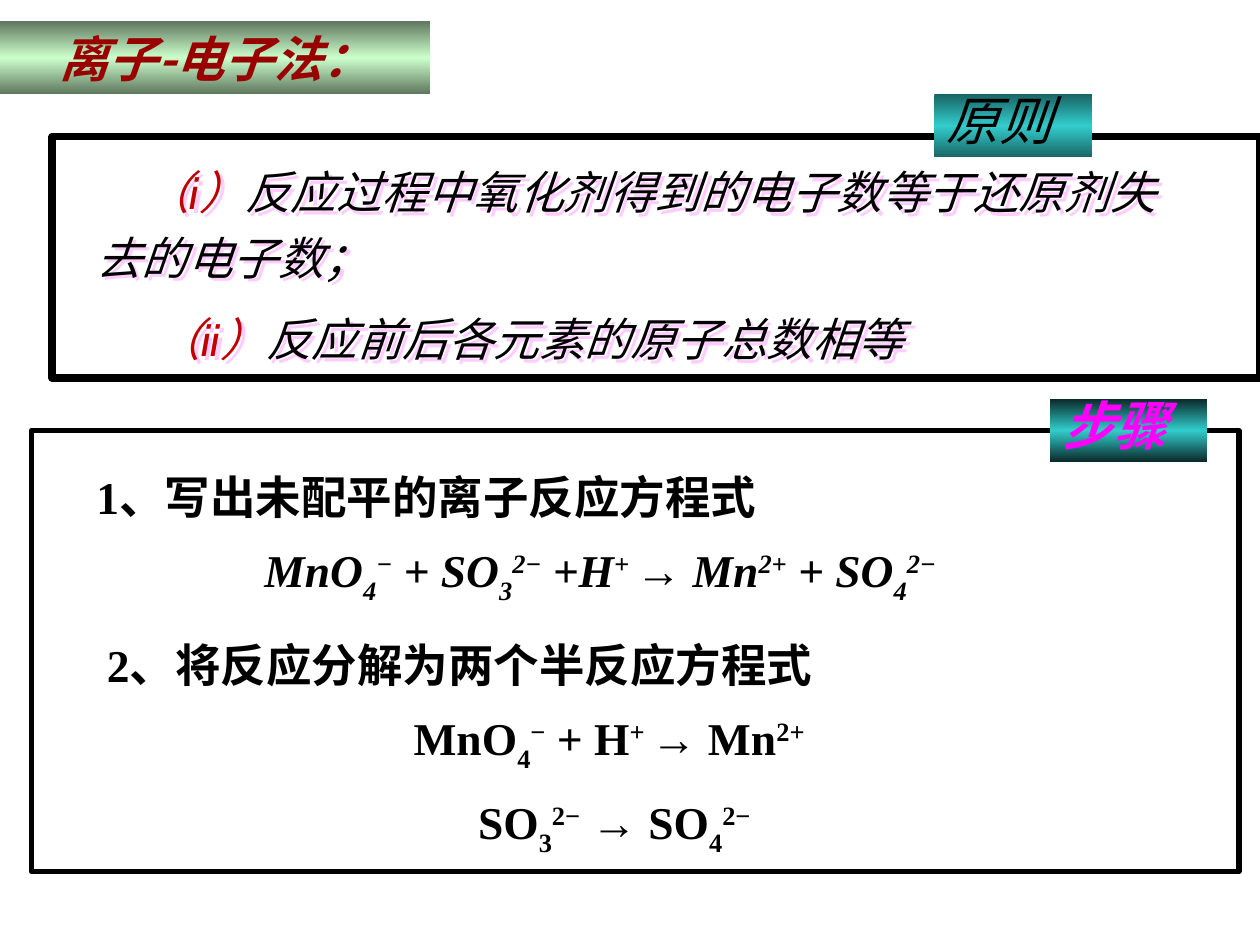
from copy import deepcopy
from dataclasses import dataclass, field

from lxml import etree
from pptx import Presentation
from pptx.dml.color import RGBColor
from pptx.enum.shapes import MSO_SHAPE
from pptx.enum.text import MSO_ANCHOR, PP_ALIGN
from pptx.oxml.ns import qn
from pptx.util import Inches, Pt

RECTANGLE = MSO_SHAPE.RECTANGLE
TOP, MIDDLE = MSO_ANCHOR.TOP, MSO_ANCHOR.MIDDLE
LEFT, CENTER = PP_ALIGN.LEFT, PP_ALIGN.CENTER

SLIDE_WIDTH, SLIDE_HEIGHT = Inches(10), Inches(7.5)
COLUMNS, ROWS = 120, 90
HAN_FONT, SERIF, SANS = "Noto Sans CJK SC", "Times New Roman", "Cabin"
BLACK, RED, DARK_RED, MAGENTA = "000000", "C00000", "990000", "FF00FF"
TEAL, MINT, PINK = "33CCCC", "CCFFCC", "FFCCFF"
BASELINES = {"_": "-30000", "^": "30000"}


@dataclass(frozen=True)
class Area:
    """A rectangle in grid columns and rows."""
    column: float
    row: float
    columns: float
    rows: float

    def box(self) -> tuple:
        """Return left, top, width and height in EMU."""
        across, down = SLIDE_WIDTH / COLUMNS, SLIDE_HEIGHT / ROWS
        return (round(self.column * across), round(self.row * down),
                round(self.columns * across), round(self.rows * down))


@dataclass(frozen=True)
class Span:
    """A piece of text with one look."""
    text: str
    color: str = BLACK
    baseline: str = ""
    look: dict = field(default_factory=dict)


@dataclass(frozen=True)
class Line:
    """A paragraph with its place and format."""
    area: Area
    spans: list
    look: dict
    layout: dict = field(default_factory=dict)
    hanging: float = 0
    first_line: float = 0
    glow: str = ""


@dataclass(frozen=True)
class Banner:
    """A gradient plate with a heading."""
    line: Line
    edge: str
    middle: str
    anchor: int = TOP


def rgb(value: str) -> RGBColor:
    """Turn a hex string into a colour."""
    return RGBColor.from_string(value)


def font_look(size: int, name: str = SERIF, bold: bool = False, italic: bool = False) -> dict:
    """Collect font attributes."""
    return {"size": Pt(size), "name": name, "bold": bold, "italic": italic}


def equation(markup: str) -> list:
    """Split markup at bars, where _ lowers and ^ raises a piece."""
    return [Span(piece.lstrip("_^"), baseline=BASELINES.get(piece[0], ""))
            for piece in markup.split("|")]


def set_attributes(target, values: dict) -> None:
    """Set every attribute listed in values."""
    for name, value in values.items():
        setattr(target, name, value)


def write(shape, line: Line, anchor: int = TOP) -> None:
    """Write a line into a shape."""
    set_attributes(shape.text_frame, {"word_wrap": True, "vertical_anchor": anchor})
    paragraph = shape.text_frame.paragraphs[0]
    set_attributes(paragraph, {"alignment": LEFT, "space_before": Pt(0), **line.layout})
    properties = paragraph._p.get_or_add_pPr()
    properties.set("marL", str(Inches(line.hanging)))
    properties.set("indent", str(Inches(line.first_line)))
    for span in line.spans:
        run = paragraph.add_run()
        run.text = span.text
        set_attributes(run.font, {**line.look, **span.look})
        run.font.color.rgb = rgb(span.color)
        run_properties = run._r.get_or_add_rPr()
        etree.SubElement(run_properties, qn("a:ea"), typeface=HAN_FONT)
        if span.baseline:
            run_properties.set("baseline", span.baseline)


def add_line(shapes, line: Line) -> None:
    """Add a text box holding one line."""
    box = shapes.add_textbox(*line.area.box())
    write(box, line)
    if line.glow:
        effects = etree.SubElement(box._element.spPr, qn("a:effectLst"))
        shadow = etree.SubElement(effects, qn("a:outerShdw"), dist=str(Inches(0.04)),
                                  dir="2700000", algn="ctr", rotWithShape="0")
        etree.SubElement(shadow, qn("a:srgbClr"), val=line.glow)


def add_frame(shapes, area: Area, weight: float) -> None:
    """Add an unfilled black frame."""
    frame = shapes.add_shape(RECTANGLE, *area.box())
    frame.shadow.inherit = False
    frame.fill.background()
    frame.line.color.rgb = rgb(BLACK)
    frame.line.width = Pt(weight)


def add_banner(shapes, banner: Banner) -> None:
    """Add a plate shaded from edge to middle to edge."""
    plate = shapes.add_shape(RECTANGLE, *banner.line.area.box())
    plate.shadow.inherit = False
    plate.line.fill.background()
    plate.fill.gradient()
    plate.fill.gradient_angle = 270
    stop_list = plate._element.spPr.find(qn("a:gradFill")).find(qn("a:gsLst"))
    stop_list.append(deepcopy(stop_list[-1]))
    colors = (banner.edge, banner.middle, banner.edge)
    for stop, color, position in zip(plate.fill.gradient_stops, colors, (0, 0.5, 1)):
        stop.color.rgb = rgb(color)
        stop.position = position
    write(plate, banner.line, banner.anchor)


TIGHT, LOOSE, CENTERED = {"line_spacing": 0.8}, {"line_spacing": 1.2}, {"alignment": CENTER}
STEP, FORMULA = font_look(26, bold=True), font_look(26, bold=True, italic=True)
PRINCIPLE, NUMBER = font_look(26, italic=True), {"name": SANS}

TITLE = Banner(Line(Area(0, 2, 41, 7), [Span("离子-电子法：", DARK_RED)],
                    font_look(28, HAN_FONT, True, True), CENTERED), "5E765E", MINT, MIDDLE)
PRINCIPLE_TAG = Banner(Line(Area(89, 9, 15, 6), [Span("原则")],
                            font_look(30, italic=True), TIGHT), "196565", TEAL)
STEP_TAG = Banner(Line(Area(100, 38, 15, 6), [Span("步骤", MAGENTA)],
                       font_look(30, bold=True, italic=True), TIGHT), "0A2929", TEAL)
PRINCIPLES = [
    Line(Area(2, 14, 113, 13.7),
         [Span("（i）", RED, look=NUMBER),
          Span("反应过程中氧化剂得到的电子数等于还原剂失去的电子数；")],
         PRINCIPLE, LOOSE, hanging=0.5, first_line=0.38, glow=PINK),
    Line(Area(5, 28, 108, 7),
         [Span("（ii）", RED, look=NUMBER), Span("反应前后各元素的原子总数相等")],
         PRINCIPLE, LOOSE, first_line=0.72, glow=PINK),
]
STEPS = [
    Line(Area(8, 43, 89, 7.5), [Span("1、写出未配平的离子反应方程式")], STEP, LOOSE),
    Line(Area(24, 51, 75, 6.4),
         equation("MnO|_4|^−| + SO|_3|^2−| +H|^+ |→ Mn|^2+| + SO|_4|^2−"), FORMULA),
    Line(Area(9, 59, 94, 7), [Span("2、将反应分解为两个半反应方程式")], STEP, LOOSE),
    Line(Area(8, 67, 100, 6.4), equation("MnO|_4|^−| + H|^+ |→ Mn|^2+"), STEP, CENTERED),
    Line(Area(34, 75, 49, 6.4), equation("SO|_3|^2−| → SO|_4|^2−"), STEP, CENTERED),
]


def main() -> None:
    """Build the slide on the ion-electron method."""
    presentation = Presentation()
    set_attributes(presentation, {"slide_width": SLIDE_WIDTH, "slide_height": SLIDE_HEIGHT})
    shapes = presentation.slides.add_slide(presentation.slide_layouts[6]).shapes
    add_banner(shapes, TITLE)
    principle_shapes = shapes.add_group_shape().shapes
    sections = (
        (principle_shapes, Area(5, 13, 115, 23), 4.5, PRINCIPLE_TAG, PRINCIPLES),
        (shapes, Area(3, 41, 115, 42), 3, STEP_TAG, STEPS),
    )
    for section_shapes, area, weight, tag, lines in sections:
        add_frame(section_shapes, area, weight)
        add_banner(section_shapes, tag)
        for line in lines:
            add_line(section_shapes, line)
    presentation.save("out.pptx")


if __name__ == "__main__":
    main()
